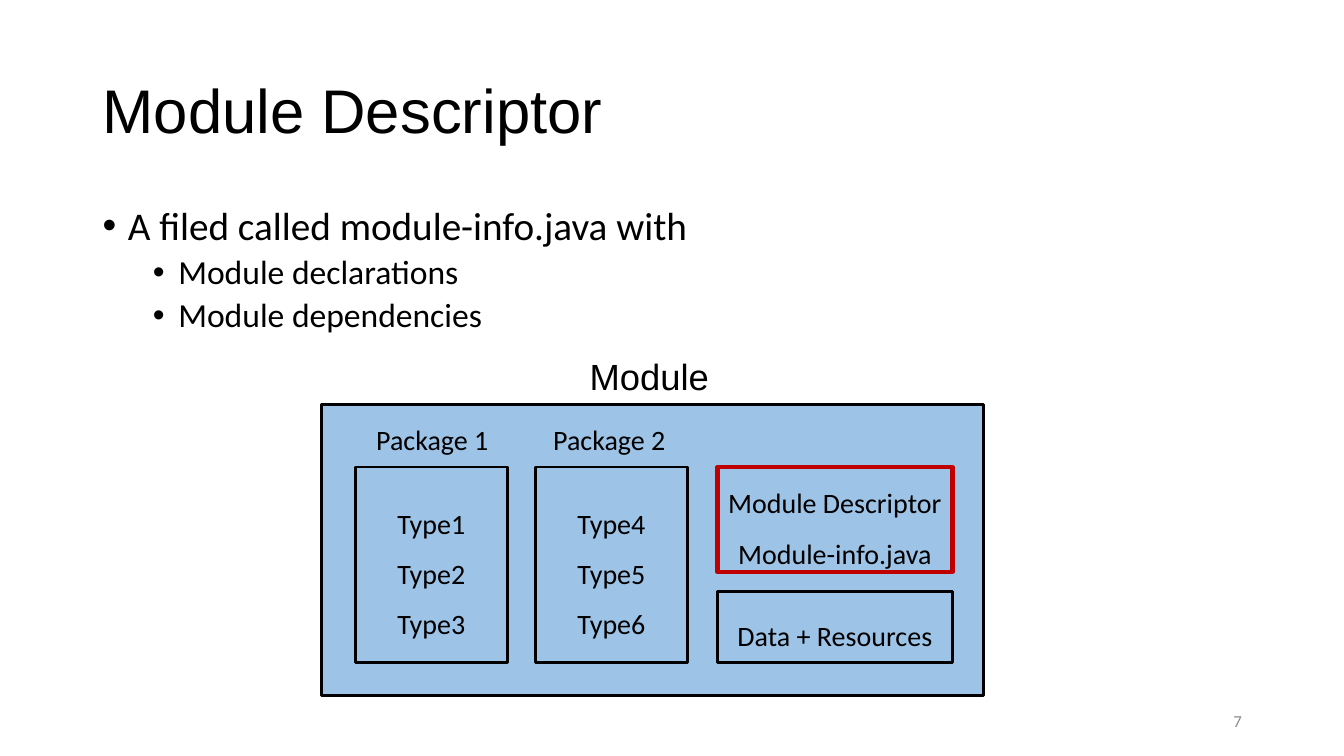
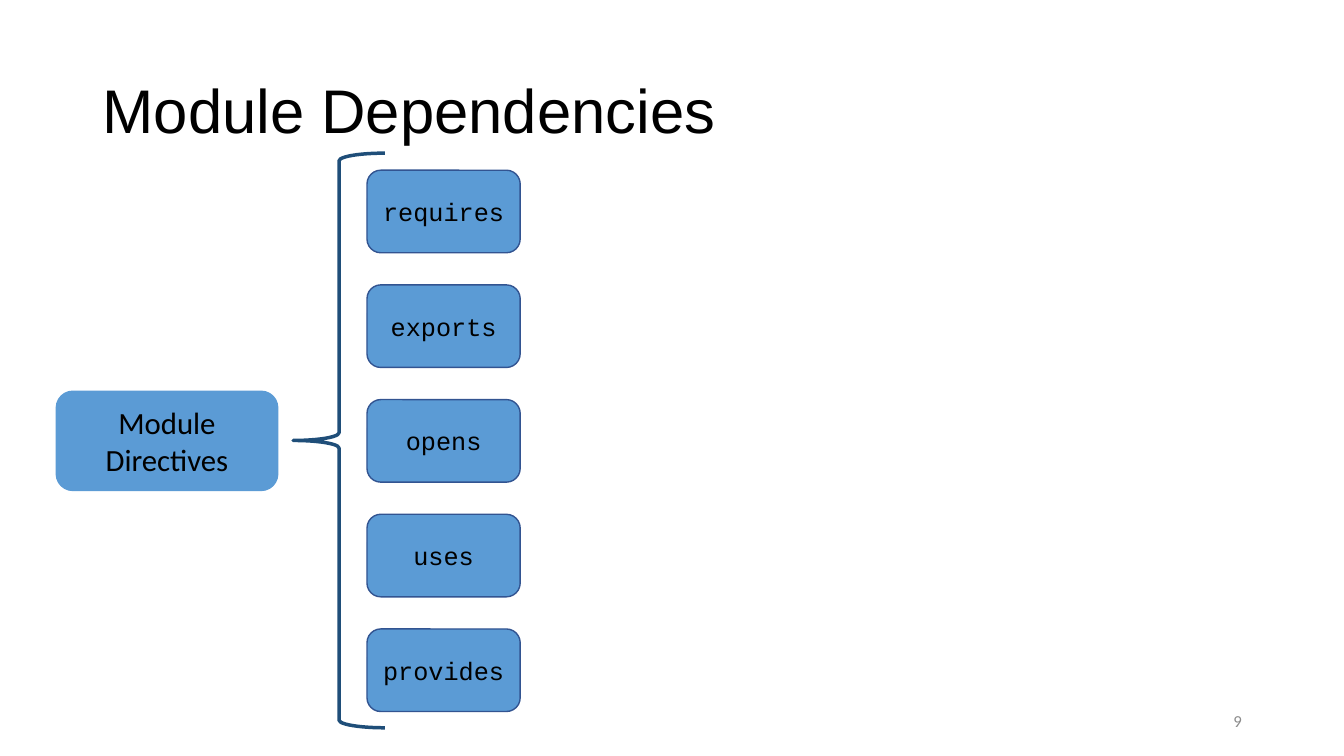
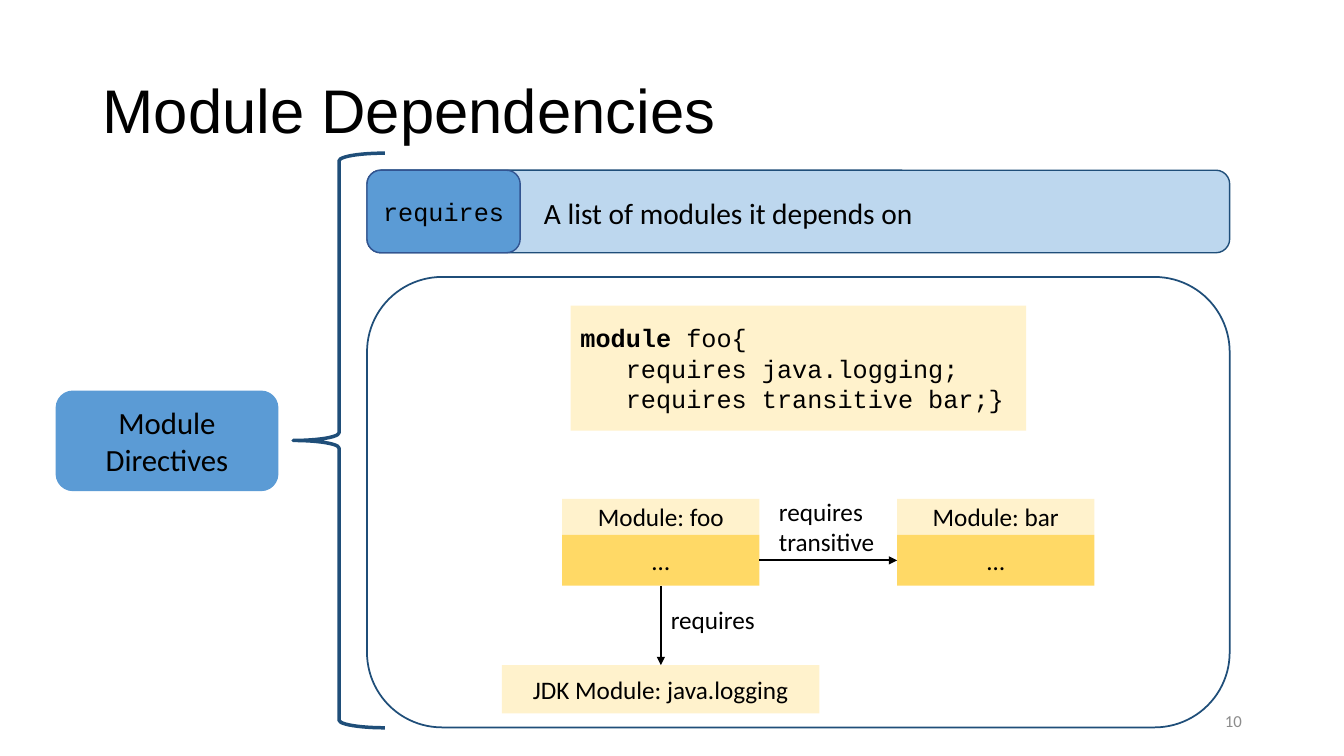
from lxml.etree import SubElement
from pptx import Presentation
from pptx.dml.color import RGBColor
from pptx.enum.shapes import MSO_CONNECTOR, MSO_SHAPE
from pptx.enum.text import MSO_ANCHOR, MSO_AUTO_SIZE, PP_ALIGN
from pptx.oxml.ns import qn
from pptx.util import Cm, Pt

TITLE_AND_CONTENT, TITLE_ONLY = 1, 5
KEYWORD_BOX = (9.25, 4.29, 3.86, 2.08)
KEYWORD_PITCH = 2.89
PANEL_WIDTH = 21.74
NODE_WIDTH, NODE_HEADER, NODE_BODY = 4.97, 0.91, 1.28


def color(value):
    return RGBColor.from_string(value)


class Deck:
    HEADING, BODY, CODE = "Arial", "Calibri", "Courier New"
    BLACK, GRAY, RED = "000000", "8C8C8C", "C00000"
    NAVY, BLUE, EDGE = "1F4E79", "5B9BD5", "325491"
    SKY, PALE_BLUE = "9DC3E6", "BDD7EE"
    GOLD, CREAM = "FFD966", "FFF2CC"

    def __init__(self):
        self.presentation = Presentation()
        self.presentation.slide_width = Cm(33.87)
        self.presentation.slide_height = Cm(19.05)
        self.slide = None

    def add_slide(self, title, number, layout=TITLE_ONLY):
        layouts = self.presentation.slide_layouts
        self.slide = self.presentation.slides.add_slide(layouts[layout])
        shape = self.slide.shapes.title
        self.place(shape, 2.33, 1.01, 29.21, 3.68)
        self.set_text(shape, title, 44, self.HEADING, align=PP_ALIGN.LEFT,
                      line_spacing=0.9)
        self.label(number, (23.93, 17.65, 7.62, 1.02), 12, tint=self.GRAY,
                   align=PP_ALIGN.RIGHT, anchor=MSO_ANCHOR.MIDDLE)

    def place(self, shape, left, top, width, height):
        shape.left, shape.top = Cm(left), Cm(top)
        shape.width, shape.height = Cm(width), Cm(height)

    def set_text(self, shape, text, size, font=BODY, tint=BLACK,
                 align=PP_ALIGN.CENTER, anchor=MSO_ANCHOR.MIDDLE,
                 line_spacing=1.0, wrap=True):
        frame = shape.text_frame
        frame.text = text
        frame.word_wrap = wrap
        frame.auto_size = MSO_AUTO_SIZE.NONE
        frame.vertical_anchor = anchor
        for paragraph in frame.paragraphs:
            paragraph.alignment = align
            paragraph.line_spacing = line_spacing
            self.format_runs(paragraph, size, font, tint)

    def format_runs(self, paragraph, size, font=BODY, tint=BLACK):
        for run in paragraph.runs:
            run.font.size = Pt(size)
            run.font.name = font
            run.font.color.rgb = color(tint)

    def bullets(self, items, box):
        """Fill the content placeholder with (level, text) items."""
        shape = self.slide.placeholders[1]
        self.place(shape, *box)
        self.set_text(shape, "\n".join(text for _, text in items), 28,
                      align=PP_ALIGN.LEFT, anchor=MSO_ANCHOR.TOP,
                      line_spacing=0.9)
        for (level, _), paragraph in zip(items, shape.text_frame.paragraphs):
            paragraph.level = level
            paragraph.space_before = Pt(5 * level)
            properties = paragraph._p.get_or_add_pPr()
            properties.set("marL", str(Cm(0.64 + 1.27 * level)))
            properties.set("indent", str(Cm(-0.64)))
            SubElement(properties, qn("a:buFont")).set("typeface", "Arial")
            SubElement(properties, qn("a:buChar")).set("char", "•")
            self.format_runs(paragraph, 28 - 4 * level)

    def label(self, text, box, size, font=BODY, tint=BLACK,
              align=PP_ALIGN.LEFT, anchor=MSO_ANCHOR.TOP, wrap=True):
        shape = self.slide.shapes.add_textbox(*map(Cm, box))
        self.set_text(shape, text, size, font, tint, align, anchor, wrap=wrap)

    def box(self, box, fill=None, line=None, line_width=1.0,
            kind=MSO_SHAPE.RECTANGLE):
        shape = self.slide.shapes.add_shape(kind, *map(Cm, box))
        shape.shadow.inherit = False
        if fill:
            shape.fill.solid()
            shape.fill.fore_color.rgb = color(fill)
        else:
            shape.fill.background()
        if line:
            shape.line.color.rgb = color(line)
            shape.line.width = Pt(line_width)
        else:
            shape.line.fill.background()
        return shape

    def rounded(self, box, fill=None, line=None, line_width=1.0):
        return self.box(box, fill, line, line_width, MSO_SHAPE.ROUNDED_RECTANGLE)

    def outlined(self, text, box):
        self.set_text(self.box(box, line=self.BLACK, line_width=2), text, 20,
                      line_spacing=1.5)

    def keyword(self, text, row=0):
        left, top, width, height = KEYWORD_BOX
        shape = self.rounded((left, top + row * KEYWORD_PITCH, width, height),
                             self.BLUE, self.EDGE)
        self.set_text(shape, text, 18, self.CODE)

    def directives(self):
        """Draw the root box and the brace that opens towards the keywords."""
        root = self.rounded((1.42, 9.86, 5.58, 2.5), self.BLUE, self.BLUE)
        self.set_text(root, "Module Directives", 22)
        self.box((7.39, 3.86, 2.31, 14.48), line=self.NAVY, line_width=2.5,
                 kind=MSO_SHAPE.LEFT_BRACE)

    def code(self, keyword, rest, lines, box):
        """Draw a code panel whose first line starts with a bold keyword."""
        shape = self.box(box, self.CREAM)
        self.set_text(shape, "\n".join([keyword, *lines]), 18, self.CODE,
                      align=PP_ALIGN.LEFT)
        paragraph = shape.text_frame.paragraphs[0]
        paragraph.runs[0].font.bold = True
        paragraph.add_run().text = rest
        self.format_runs(paragraph, 18, self.CODE)

    def node(self, name, left, top):
        header = self.box((left, top, NODE_WIDTH, NODE_HEADER), self.CREAM)
        self.set_text(header, name, 18)
        body = self.box((left, top + NODE_HEADER, NODE_WIDTH, NODE_BODY),
                        self.GOLD)
        self.set_text(body, "…", 18)

    def arrow(self, start, end):
        connector = self.slide.shapes.add_connector(
            MSO_CONNECTOR.STRAIGHT, *map(Cm, (*start, *end)))
        connector.line.color.rgb = color(self.BLACK)
        connector.line.width = Pt(1.5)
        properties = connector._element.spPr
        SubElement(properties.get_or_add_ln(),
                   qn("a:tailEnd")).set("type", "triangle")
        SubElement(properties, qn("a:effectLst"))


def descriptor_slide(deck):
    deck.add_slide("Module Descriptor", "7", TITLE_AND_CONTENT)
    deck.bullets([(0, "A filed called module-info.java with"),
                  (1, "Module declarations"),
                  (1, "Module dependencies")], (2.33, 5.07, 29.21, 12.09))
    deck.label("Module", (14.61, 8.81, 3.68, 1.38), 26, deck.HEADING)
    deck.box((8.1, 10.2, 16.69, 7.32), deck.SKY, deck.BLACK, 2)
    top = 11.77
    packages = [("Package 1", "Type1\nType2\nType3", 8.95, 9.23),
                ("Package 2", "Type4\nType5\nType6", 13.49, 13.69)]
    for name, types, left, label_left in packages:
        deck.outlined(types, (left, top, 3.84, 4.93))
        deck.label(name, (label_left, 10.52, 3.45, 1.12), 20)
    descriptor = (18.08, top, 5.92, 2.64)
    deck.outlined("Module Descriptor\nModule-info.java", descriptor)
    deck.outlined("Data + Resources", (18.08, 14.9, 5.92, 1.8))
    deck.box(descriptor, line=deck.RED, line_width=3.25)


def directives_slide(deck):
    deck.add_slide("Module Dependencies", "9")
    deck.directives()
    for row, name in enumerate(["requires", "exports", "opens", "uses", "provides"]):
        deck.keyword(name, row)


def requires_slide(deck):
    deck.add_slide("Module Dependencies", "10")
    left, top, _, height = KEYWORD_BOX
    deck.rounded((left, top, PANEL_WIDTH, height), deck.PALE_BLUE, deck.NAVY)
    deck.keyword("requires")
    deck.label("A list of modules it depends on", (13.46, 4.8, 17.15, 1.14), 21)
    deck.rounded((left, 6.98, PANEL_WIDTH, 11.35), line=deck.NAVY, line_width=1.25)
    deck.code("module", " foo{",
              ["   requires java.logging;", "   requires transitive bar;}"],
              (14.38, 7.7, 11.48, 3.15))

    foo_left, bar_left, node_top, library_top = 14.17, 22.61, 12.57, 16.76
    deck.node("Module: foo", foo_left, node_top)
    deck.node("Module: bar", bar_left, node_top)
    library = deck.box((12.65, library_top, 8, 1.22), deck.CREAM)
    deck.set_text(library, "JDK Module: java.logging", 18)

    center = foo_left + NODE_WIDTH / 2
    body_top = node_top + NODE_HEADER
    body_middle = body_top + NODE_BODY / 2
    deck.arrow((center, body_top + NODE_BODY), (center, library_top))
    deck.label("requires", (center, 15.11, 2.67, 1.02), 18, wrap=False)
    deck.arrow((foo_left + NODE_WIDTH, body_middle), (bar_left, body_middle))
    deck.label("requires transitive", (19.38, 12.37, 3, 1.8), 18)
    deck.directives()


def main():
    deck = Deck()
    descriptor_slide(deck)
    directives_slide(deck)
    requires_slide(deck)
    deck.presentation.save("out.pptx")


if __name__ == "__main__":
    main()
